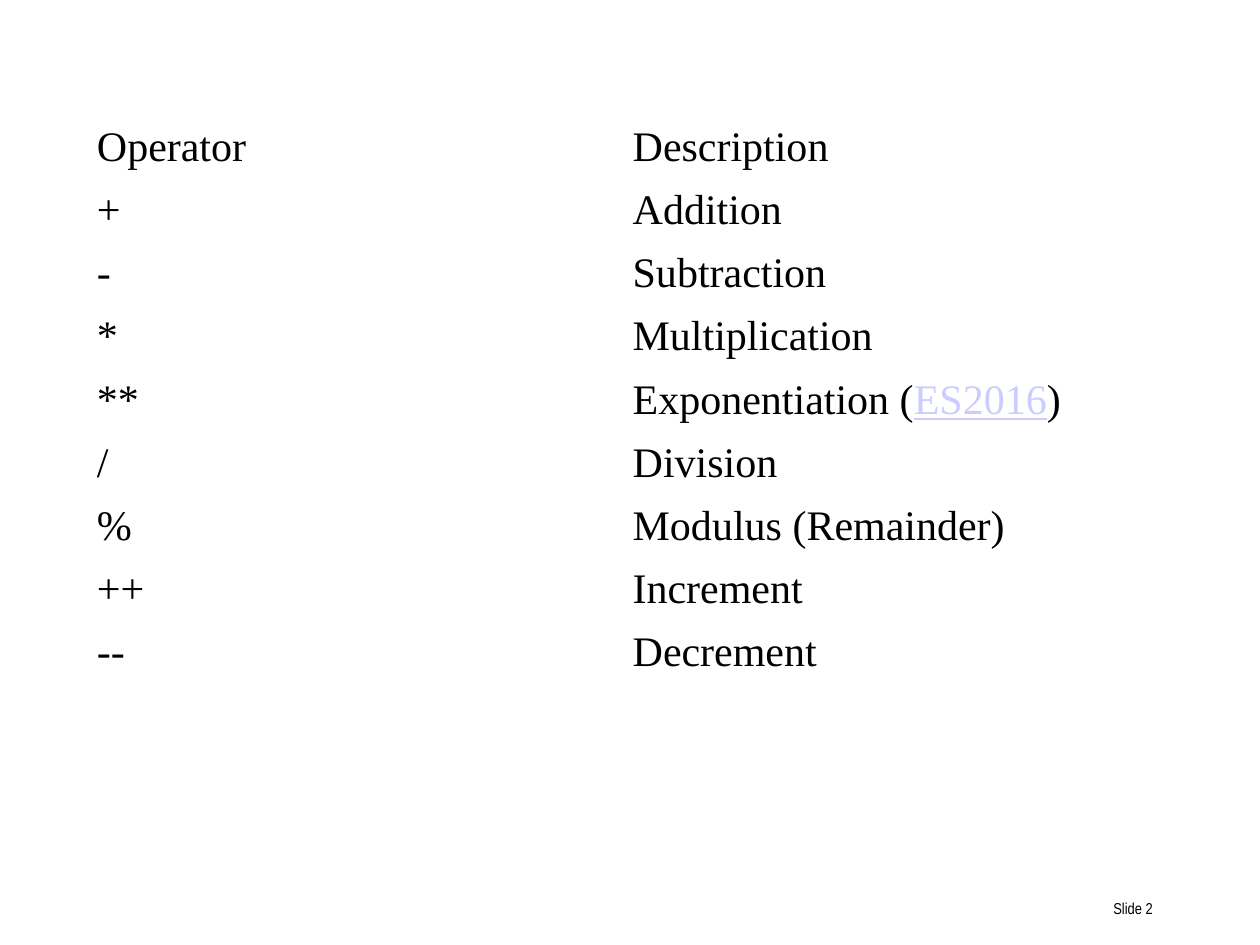
from pptx import Presentation
from pptx.dml.color import RGBColor
from pptx.enum.text import MSO_ANCHOR, PP_ALIGN
from pptx.util import Cm, Pt

MIDDLE, BOTTOM = MSO_ANCHOR.MIDDLE, MSO_ANCHOR.BOTTOM
RIGHT = PP_ALIGN.RIGHT
BLACK, LILAC = "000000", "CCCCFF"


def write(par, text, size=24, font="Times New Roman", color=BLACK, line=False):
    """Add one formatted run to a paragraph."""
    run = par.add_run()
    run.text = text
    run.font.size = Pt(size)
    run.font.name = font
    run.font.bold = False
    run.font.underline = line
    run.font.color.rgb = RGBColor.from_string(color)


prs = Presentation()
prs.slide_width, prs.slide_height = Cm(25.4), Cm(19.05)
slide = prs.slides.add_slide(prs.slide_layouts[6])

# Slide number
box = slide.shapes.add_textbox(Cm(18.21), Cm(17.35), Cm(5.28), Cm(1.27))
frame = box.text_frame
frame.word_wrap = True
frame.vertical_anchor = BOTTOM
par = frame.paragraphs[0]
par.alignment = RIGHT
write(par, "Slide 2", size=9, font="Arial Narrow")

# Operator table: each cell is a list of (text, format) runs
link = {"color": LILAC, "line": True}
rows = [
    ("Operator", "Description"),
    ("+", "Addition"),
    ("-", "Subtraction"),
    ("*", "Multiplication"),
    ("**", [("Exponentiation (", {}), ("ES2016", link), (")", {})]),
    ("/", "Division"),
    ("%", "Modulus (Remainder)"),
    ("++", "Increment"),
    ("--", "Decrement"),
]
pitch = 1.27
table = slide.shapes.add_table(
    len(rows), 2, Cm(1.7), Cm(2.34), Cm(21.6), Cm(pitch * len(rows))
).table
table.first_row = False
table.horz_banding = False

for r, row in enumerate(rows):
    table.rows[r].height = Cm(pitch)
    for c, item in enumerate(row):
        cell = table.cell(r, c)
        cell.fill.background()
        cell.vertical_anchor = MIDDLE
        runs = [(item, {})] if isinstance(item, str) else item
        for text, style in runs:
            write(cell.text_frame.paragraphs[0], text, **style)

prs.save("out.pptx")
